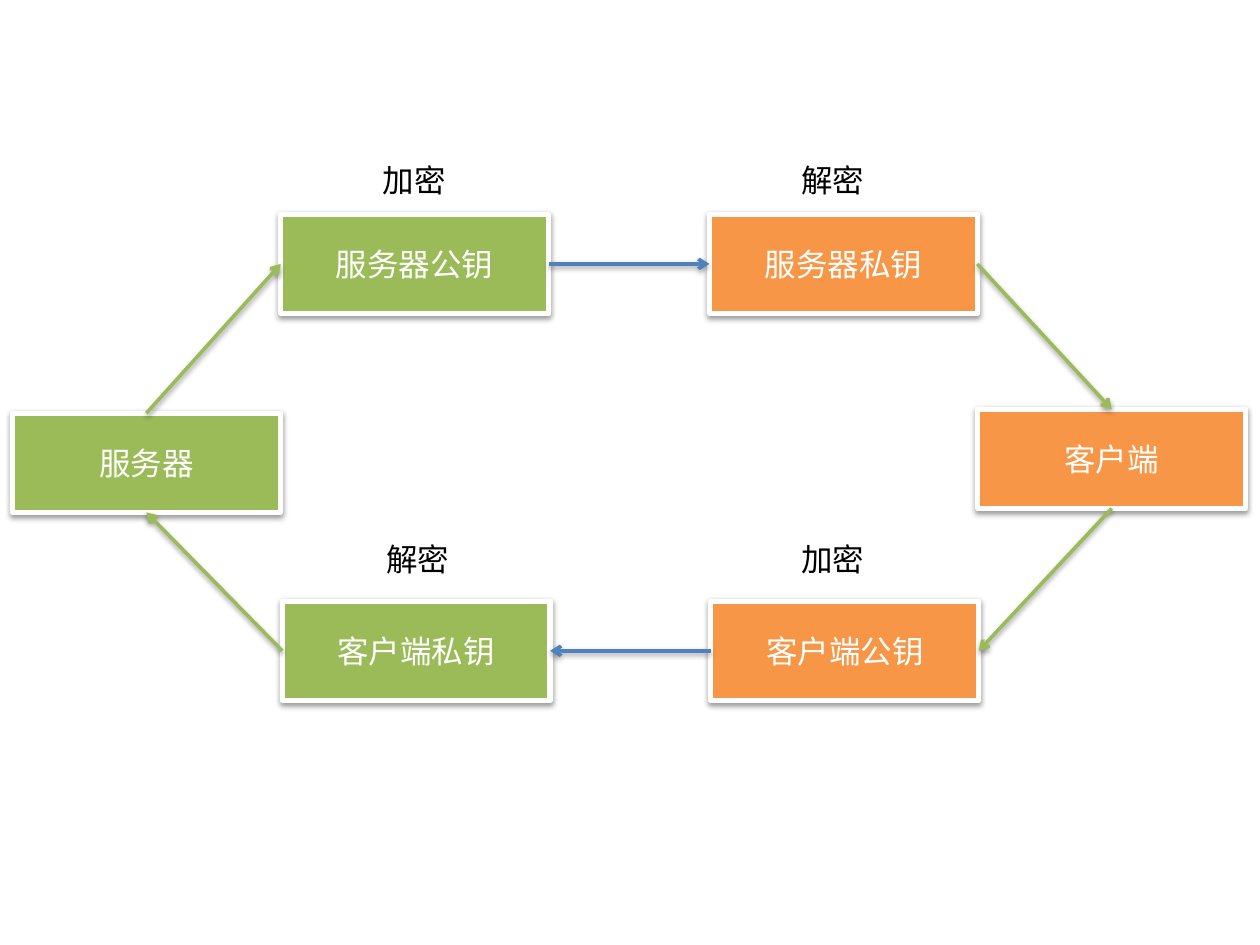
import dataclasses

import pptx
import pptx.dml.color
import pptx.enum.shapes
import pptx.enum.text
import pptx.oxml
import pptx.oxml.ns
import pptx.util

Cm = pptx.util.Cm
Pt = pptx.util.Pt
TOP, LEFT, BOTTOM, RIGHT = range(4)


@dataclasses.dataclass(frozen=True)
class Theme:
    font: str = "Calibri"
    size: int = 18
    border: float = 3
    stroke: float = 2
    green: str = "9BBB59"
    orange: str = "F79646"
    blue: str = "4F81BD"
    white: str = "FFFFFF"
    black: str = "000000"


class Deck:
    """Draws boxes, labels and arrows on one slide in one theme."""

    def __init__(self, theme):
        self.theme = theme
        self.deck = pptx.Presentation()
        self.deck.slide_width, self.deck.slide_height = Cm(25.4), Cm(19.05)
        self.slide = self.deck.slides.add_slide(self.deck.slide_layouts[6])

    def paint(self, form, color):
        form.rgb = pptx.dml.color.RGBColor.from_string(color)

    def shade(self, shape):
        shape.element.spPr.append(pptx.oxml.parse_xml(
            f'<a:effectLst {pptx.oxml.ns.nsdecls("a")}>'
            '<a:outerShdw blurRad="40000" dist="20000" dir="5400000" rotWithShape="0">'
            f'<a:srgbClr val="{self.theme.black}"><a:alpha val="38000"/></a:srgbClr>'
            '</a:outerShdw></a:effectLst>'))

    def letter(self, shape, text, color):
        shape.text_frame.text = text
        para = shape.text_frame.paragraphs[0]
        font = para.runs[0].font
        font.name, font.size = self.theme.font, Pt(self.theme.size)
        self.paint(font.color, color)
        return para

    def box(self, text, x, y, color):
        kind = pptx.enum.shapes.MSO_SHAPE.RECTANGLE
        shape = self.slide.shapes.add_shape(kind, Cm(x), Cm(y), Cm(5.4), Cm(2))
        shape.fill.solid()
        self.paint(shape.fill.fore_color, color)
        self.paint(shape.line.color, self.theme.white)
        shape.line.width = Pt(self.theme.border)
        self.shade(shape)
        para = self.letter(shape, text, self.theme.white)
        para.alignment = pptx.enum.text.PP_ALIGN.CENTER
        shape.text_frame.vertical_anchor = pptx.enum.text.MSO_ANCHOR.MIDDLE
        return shape

    def label(self, text, x, y):
        shape = self.slide.shapes.add_textbox(Cm(x), Cm(y), Cm(1.8), Cm(1.02))
        self.letter(shape, text, self.theme.black)
        shape.text_frame.word_wrap = False
        shape.text_frame.auto_size = pptx.enum.text.MSO_AUTO_SIZE.SHAPE_TO_FIT_TEXT

    def arrow(self, start, leave, end, enter, color):
        kind = pptx.enum.shapes.MSO_CONNECTOR.STRAIGHT
        link = self.slide.shapes.add_connector(kind, 0, 0, 0, 0)
        link.begin_connect(start, leave)
        link.end_connect(end, enter)
        self.paint(link.line.color, color)
        link.line.width = Pt(self.theme.stroke)
        link.element.spPr.get_or_add_ln().append(pptx.oxml.parse_xml(
            f'<a:tailEnd {pptx.oxml.ns.nsdecls("a")} type="arrow"/>'))
        self.shade(link)


def main():
    theme = Theme()
    deck = Deck(theme)
    green, orange, blue = theme.green, theme.orange, theme.blue

    server = deck.box("服务器", 0.25, 8.33, green)
    client = deck.box("客户端", 19.71, 8.25, orange)
    server_pub = deck.box("服务器公钥", 5.66, 4.32, green)
    server_key = deck.box("服务器私钥", 14.3, 4.32, orange)
    client_key = deck.box("客户端私钥", 5.69, 12.12, green)
    client_pub = deck.box("客户端公钥", 14.33, 12.12, orange)

    for link in (
        (server, TOP, server_pub, LEFT, green),
        (server_pub, RIGHT, server_key, LEFT, blue),
        (server_key, RIGHT, client, TOP, green),
        (client, BOTTOM, client_pub, RIGHT, green),
        (client_pub, LEFT, client_key, RIGHT, blue),
        (client_key, LEFT, server, BOTTOM, green),
    ):
        deck.arrow(*link)

    for text, x, y in (
        ("加密", 7.47, 3.12),
        ("解密", 15.9, 3.12),
        ("解密", 7.54, 10.77),
        ("加密", 15.9, 10.77),
    ):
        deck.label(text, x, y)

    deck.deck.save("out.pptx")


if __name__ == "__main__":
    main()
